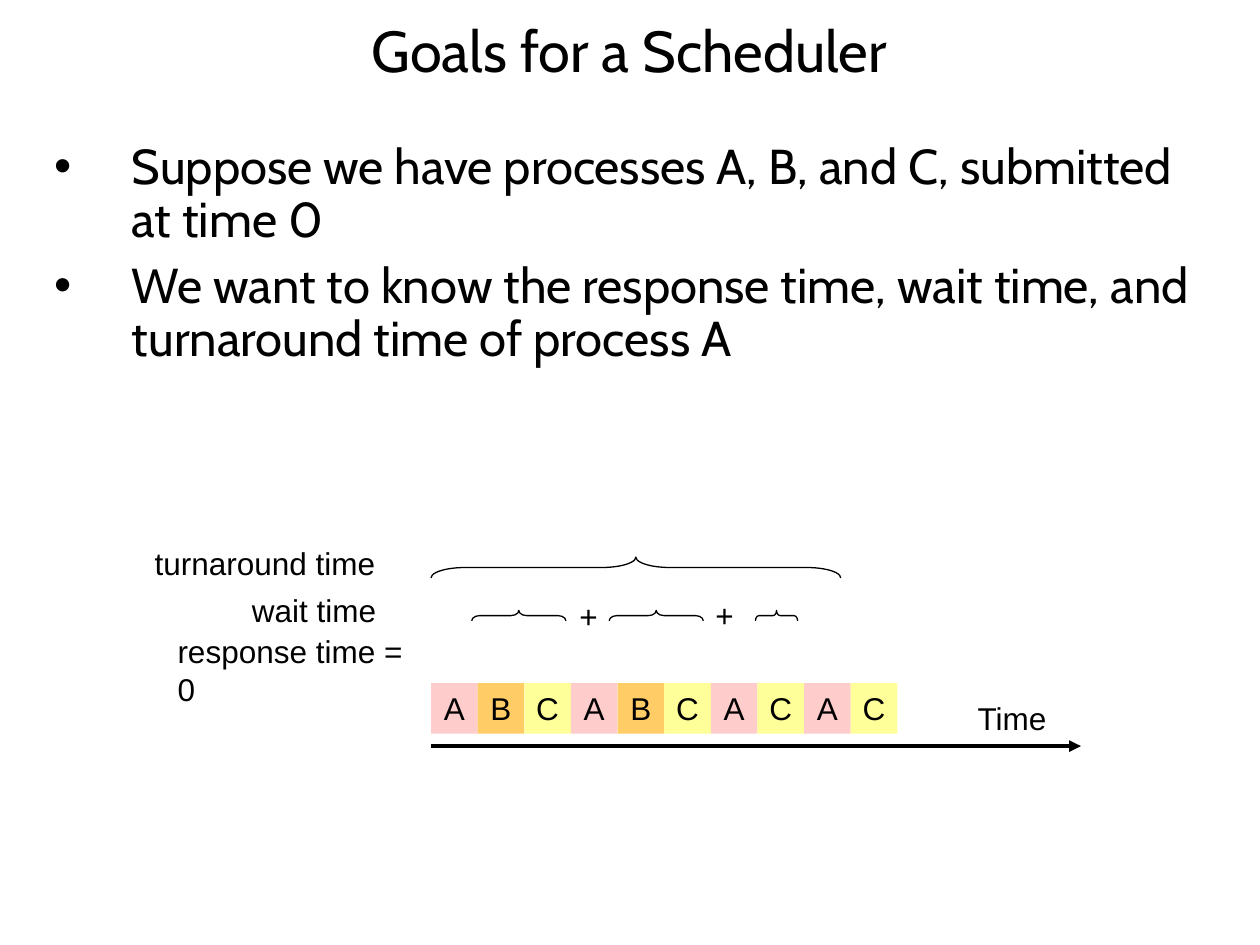
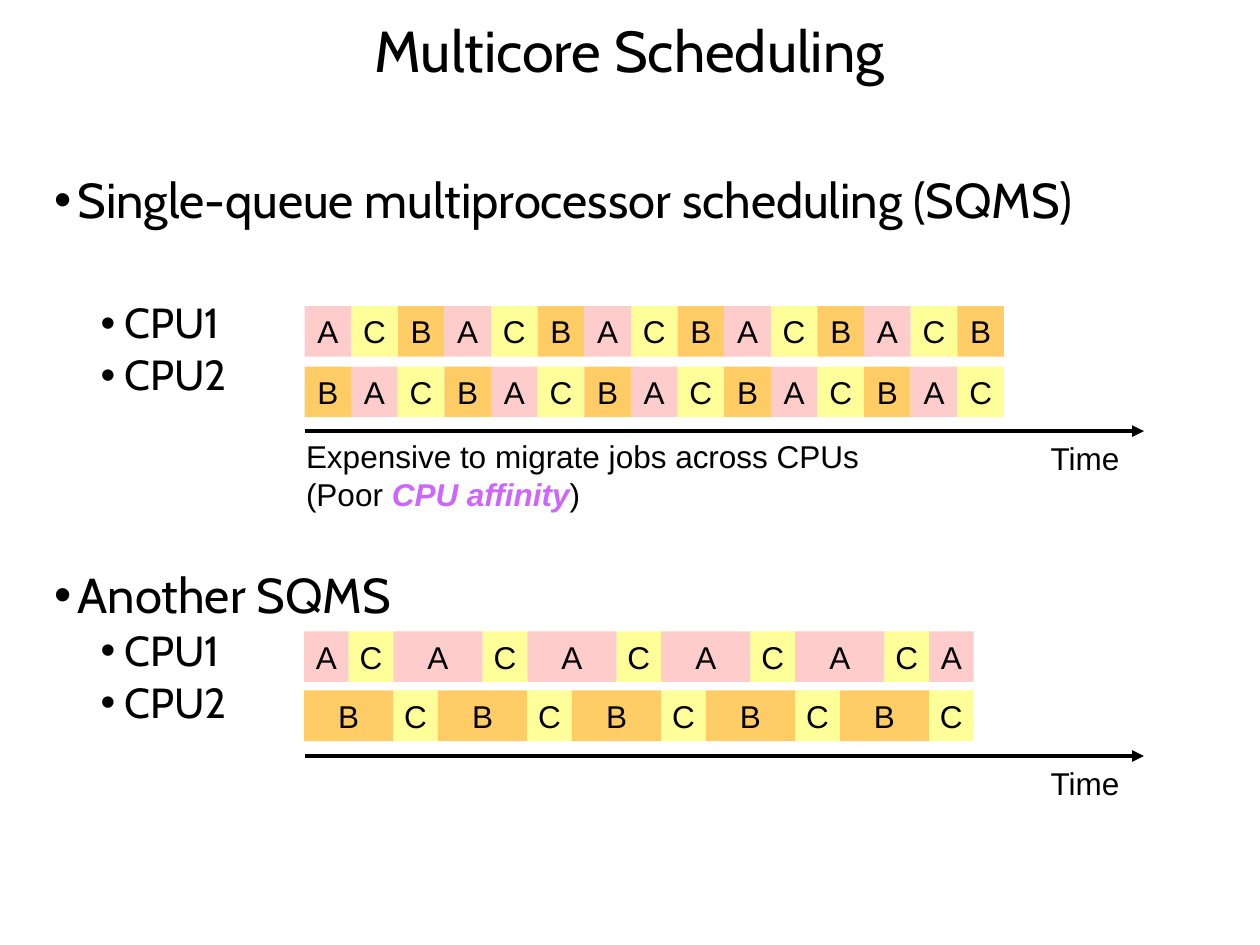
from dataclasses import dataclass
from itertools import groupby

from lxml import etree
from pptx import Presentation
from pptx import util as u
from pptx.dml.color import RGBColor
from pptx.enum import shapes, text
from pptx.oxml.ns import qn

BLACK = RGBColor(0x00, 0x00, 0x00)
PURPLE = RGBColor(0xCC, 0x66, 0xFF)
PINK = RGBColor(0xFF, 0xCC, 0xCC)
ORANGE = RGBColor(0xFF, 0xCC, 0x66)
YELLOW = RGBColor(0xFF, 0xFF, 0x99)
JOB_COLOURS = {"A": PINK, "B": ORANGE, "C": YELLOW}
HEADING_FONT, LABEL_FONT = "Cabin", "Arial"
BODY_LEFT, BODY_WIDTH = 0.84, 23.7
LINE_HEIGHT = 1.02


@dataclass
class Bullet:
    text: str
    size: float = 28
    before: float = 7.5
    margin: float = 0.48
    hang: float = 0.48


@dataclass
class Schedule:
    jobs: str
    left: float
    top: float
    slot: float


@dataclass
class Brace:
    left: float
    middle: float
    length: float
    thickness: float = 0.21


@dataclass
class Label:
    text: str
    left: float
    top: float
    width: float


@dataclass
class TimeAxis:
    left: float
    right: float
    y: float
    label: Label


def write(p, words: str, *, size: float = 18, font: str = LABEL_FONT,
          colour: RGBColor = BLACK, bold: bool = False, italic: bool = False) -> None:
    r = p.add_run()
    r.text = words
    f = r.font
    f.size, f.name, f.bold, f.italic = u.Pt(size), font, bold, italic
    f.color.rgb = colour


def box(s, left: float, top: float, width: float, height: float, wrap: bool = False):
    sp = s.shapes.add_textbox(u.Cm(left), u.Cm(top), u.Cm(width), u.Cm(height))
    sp.text_frame.word_wrap = wrap
    return sp.text_frame


def add_slide(prs, title: str):
    s = prs.slides.add_slide(prs.slide_layouts[5])
    sp = s.shapes.title
    sp.left, sp.top = u.Cm(BODY_LEFT), u.Cm(0)
    sp.width, sp.height = u.Cm(BODY_WIDTH), u.Cm(2.16)
    tf = sp.text_frame
    tf.vertical_anchor = text.MSO_ANCHOR.MIDDLE
    p = tf.paragraphs[0]
    p.alignment, p.line_spacing = text.PP_ALIGN.CENTER, 0.9
    write(p, title, size=33, font=HEADING_FONT)
    return s


def add_bullets(s, top: float, height: float, bullets: list[Bullet]) -> None:
    tf = box(s, BODY_LEFT, top, BODY_WIDTH, height, wrap=True)
    for i, b in enumerate(bullets):
        p = tf.add_paragraph() if i else tf.paragraphs[0]
        p.line_spacing, p.space_before = 0.9, u.Pt(b.before)
        pPr = p._p.get_or_add_pPr()
        pPr.set("marL", str(u.Cm(b.margin)))
        pPr.set("indent", str(-u.Cm(b.hang)))
        etree.SubElement(pPr, qn("a:buFont")).set("typeface", LABEL_FONT)
        etree.SubElement(pPr, qn("a:buChar")).set("char", "•")
        write(p, b.text, size=b.size, font=HEADING_FONT)


def add_label(s, label: Label) -> None:
    tf = box(s, label.left, label.top, label.width, LINE_HEIGHT)
    write(tf.paragraphs[0], label.text)


def add_schedule(s, row: Schedule) -> None:
    left = row.left
    for job, run in groupby(row.jobs):
        width = row.slot * len(list(run))
        sp = s.shapes.add_shape(shapes.MSO_SHAPE.RECTANGLE, u.Cm(left), u.Cm(row.top),
                                u.Cm(width), u.Cm(LINE_HEIGHT))
        sp.shadow.inherit = False
        sp.fill.solid()
        sp.fill.fore_color.rgb = JOB_COLOURS[job]
        sp.line.fill.background()
        tf = sp.text_frame
        tf.word_wrap = False
        tf.vertical_anchor = text.MSO_ANCHOR.TOP
        p = tf.paragraphs[0]
        p.alignment = text.PP_ALIGN.CENTER
        write(p, job)
        left += width


def add_brace(s, b: Brace) -> None:
    left = b.left + (b.length - b.thickness) / 2
    sp = s.shapes.add_shape(shapes.MSO_SHAPE.RIGHT_BRACE, u.Cm(left),
                            u.Cm(b.middle - b.length / 2), u.Cm(b.thickness), u.Cm(b.length))
    sp.rotation = 270
    sp.adjustments[0] = b.length / b.thickness / 12
    sp.shadow.inherit = False
    sp.fill.background()
    sp.line.color.rgb = BLACK
    sp.line.width = u.Pt(0.75)


def add_axis(s, axis: TimeAxis) -> None:
    cx = s.shapes.add_connector(shapes.MSO_CONNECTOR.STRAIGHT, u.Cm(axis.left), u.Cm(axis.y),
                                u.Cm(axis.right), u.Cm(axis.y))
    cx.line.color.rgb = BLACK
    cx.line.width = u.Pt(2.25)
    etree.SubElement(cx.line._get_or_add_ln(), qn("a:tailEnd")).set("type", "triangle")
    etree.SubElement(cx._element.spPr, qn("a:effectLst"))
    add_label(s, axis.label)


def build_goals(prs) -> None:
    s = add_slide(prs, "Goals for a Scheduler")
    add_bullets(s, 2.74, 14.4, [
        Bullet(words, margin=1.57, hang=1.57) for words in (
            "Suppose we have processes A, B, and C, submitted at time 0",
            "We want to know the response time, wait time, and turnaround time of process A")])
    add_schedule(s, Schedule("ABCABCACAC", 8.69, 13.77, 0.94))
    add_axis(s, TimeAxis(8.69, 21.79, 15.04, Label("Time", 19.46, 13.97, 1.93)))
    for label in (Label("response time = 0", 3.33, 12.62, 5.56),
                  Label("wait time", 4.83, 11.79, 3.02),
                  Label("turnaround time", 2.87, 10.85, 4.95),
                  Label("+", 11.43, 11.91, 0.89),
                  Label("+", 14.17, 11.89, 0.89)):
        add_label(s, label)
    for brace in (Brace(9.51, 12.41, 1.9), Brace(12.28, 12.41, 1.9),
                  Brace(15.23, 12.41, 0.85), Brace(8.69, 11.44, 8.26, 0.42)):
        add_brace(s, brace)


def build_multicore(prs) -> None:
    s = add_slide(prs, "Multicore Scheduling")
    cpu = {"size": 24, "margin": 1.42}
    add_bullets(s, 3.43, 13.74, [
        Bullet("Single-queue multiprocessor scheduling (SQMS)"),
        Bullet("CPU1", before=41.9, **cpu),
        Bullet("CPU2", before=3.8, **cpu),
        Bullet("Another SQMS", before=97.6),
        Bullet("CPU1", before=3.8, **cpu),
        Bullet("CPU2", before=3.8, **cpu)])
    for row in (Schedule("ACB" * 5, 6.14, 6.17, 0.94),
                Schedule("BAC" * 5, 6.14, 7.39, 0.94),
                Schedule("ACA" * 5, 6.13, 12.73, 0.9),
                Schedule("BBC" * 5, 6.13, 13.92, 0.9)):
        add_schedule(s, row)
    for y in (8.69, 15.24):
        add_axis(s, TimeAxis(6.14, 23.06, y, Label("Time", 20.93, y + 0.03, 1.93)))
    tf = box(s, 5.92, 8.69, 11.76, 1.8)
    write(tf.paragraphs[0], "Expensive to migrate jobs across CPUs")
    p = tf.add_paragraph()
    write(p, "(Poor ")
    write(p, "CPU affinity", colour=PURPLE, bold=True, italic=True)
    write(p, ")")


def main() -> None:
    prs = Presentation()
    prs.slide_width, prs.slide_height = u.Cm(25.4), u.Cm(19.05)
    build_goals(prs)
    build_multicore(prs)
    prs.save("out.pptx")


if __name__ == "__main__":
    main()
